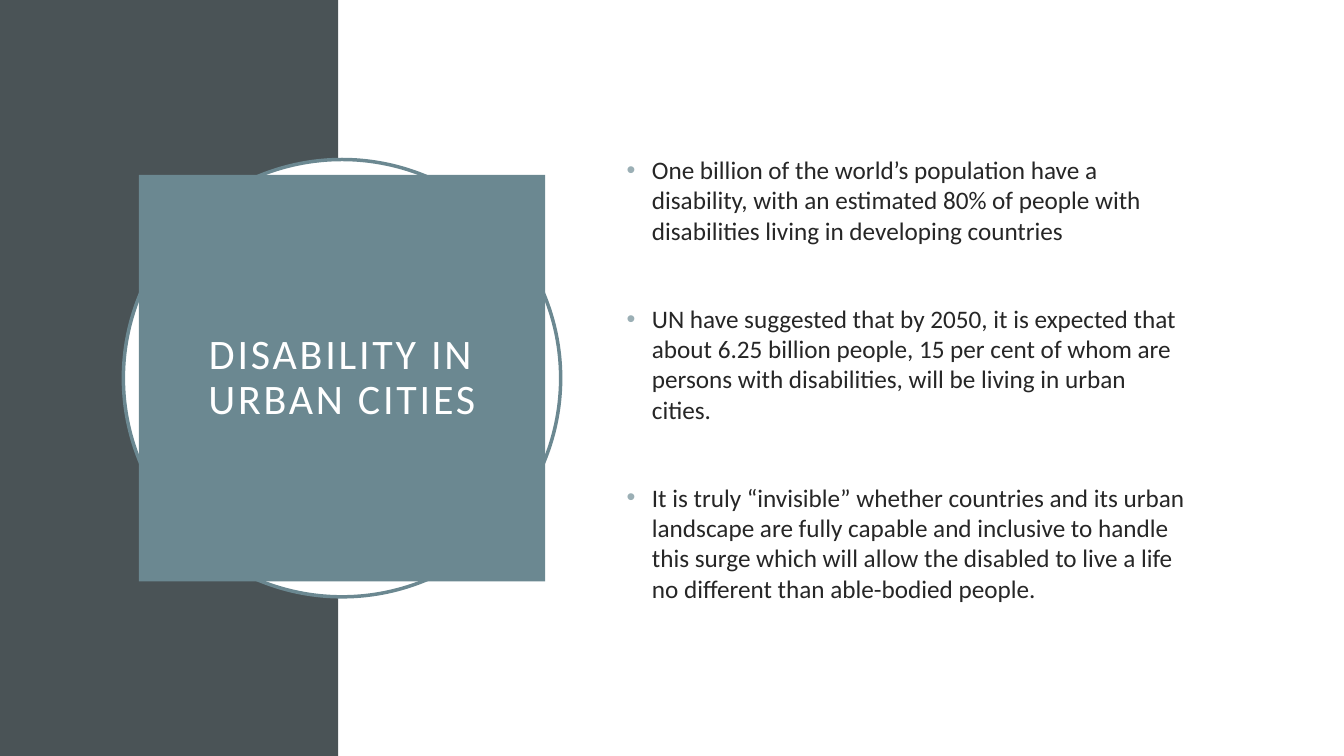
from lxml.etree import SubElement
from pptx import Presentation
from pptx.dml.color import RGBColor
from pptx.enum.shapes import MSO_SHAPE as Shape
from pptx.enum.text import MSO_ANCHOR as Anchor, PP_ALIGN as Align
from pptx.oxml.ns import qn
from pptx.util import Cm, Pt

TITLE = "DISABILITY IN URBAN CITIES"
POINTS = [
    "One billion of the world’s population have a disability, with an estimated 80% of people with disabilities living in developing countries",
    "UN have suggested that by 2050, it is expected that about 6.25 billion people, 15 per cent of whom are persons with disabilities, will be living in urban cities.",
    "It is truly “invisible” whether countries and its urban landscape are fully capable and inclusive to handle this surge which will allow the disabled to live a life no different than able-bodied people.",
]
THEME = {
    "font": "Calibri", "title_size": 30, "body_size": 18,
    "slate": "4A5356", "teal": "6B8891", "white": "FFFFFF",
    "ink": "262626", "bullet": "9BAFB5",
}
WIDTH, HEIGHT, PANEL = 33.87, 19.05, 8.53
CENTRE = (8.62, 9.53)
RING, SQUARE = 11.02, 10.24
BODY = (15.54, 3.92, 14.63, 11.25)


def color(name):
    return RGBColor.from_string(THEME[name])


def centred(size):
    return [c - size / 2 for c in CENTRE] + [size, size]


def assign(obj, values):
    for name, value in values.items():
        setattr(obj, name, value)


def add_block(slide, kind, box, fill, line=None):
    sp = slide.shapes.add_shape(kind, *map(Cm, box))
    sp.shadow.inherit = False
    sp.fill.solid()
    sp.fill.fore_color.rgb = color(fill)
    if line:
        sp.line.color.rgb = color(line)
        sp.line.width = Pt(2.5)
    else:
        sp.line.fill.background()
    return sp


def add_text(p, text, size, ink, layout):
    assign(p, layout)
    r = p.add_run()
    r.text = text
    assign(r.font, {"name": THEME["font"], "size": Pt(THEME[size])})
    r.font.color.rgb = color(ink)
    return r


def add_bullet(p):
    pPr = p._p.get_or_add_pPr()
    pPr.set("marL", str(Cm(0.64)))
    pPr.set("indent", str(-Cm(0.64)))
    bu = SubElement(pPr, qn("a:buClr"))
    SubElement(bu, qn("a:srgbClr"), val=THEME["bullet"])
    SubElement(pPr, qn("a:buFont"), typeface="Arial")
    SubElement(pPr, qn("a:buChar"), char="•")


def main():
    prs = Presentation()
    assign(prs, {"slide_width": Cm(WIDTH), "slide_height": Cm(HEIGHT)})
    slide = prs.slides.add_slide(prs.slide_layouts[6])

    add_block(slide, Shape.RECTANGLE, (0, 0, PANEL, HEIGHT), "slate")
    add_block(slide, Shape.RECTANGLE, (PANEL, 0, WIDTH - PANEL, HEIGHT), "white")
    add_block(slide, Shape.OVAL, centred(RING), "white", "teal")

    sp = add_block(slide, Shape.RECTANGLE, centred(SQUARE), "teal")
    tf = sp.text_frame
    sides = ("left", "right", "top", "bottom")
    assign(tf, {f"margin_{side}": Cm(0.51) for side in sides})
    assign(tf, {"word_wrap": True, "vertical_anchor": Anchor.MIDDLE})
    r = add_text(tf.paragraphs[0], TITLE, "title_size", "white",
                 {"alignment": Align.CENTER, "line_spacing": 0.9})
    r.font._element.set("spc", "200")

    tf = slide.shapes.add_textbox(*map(Cm, BODY)).text_frame
    assign(tf, {"word_wrap": True, "vertical_anchor": Anchor.MIDDLE})
    for i, text in enumerate(POINTS):
        p = tf.add_paragraph() if i else tf.paragraphs[0]
        add_text(p, text, "body_size", "ink",
                 {"line_spacing": 1.0, "space_before": Pt(41.4 if i else 0)})
        add_bullet(p)

    prs.save("out.pptx")


if __name__ == "__main__":
    main()
